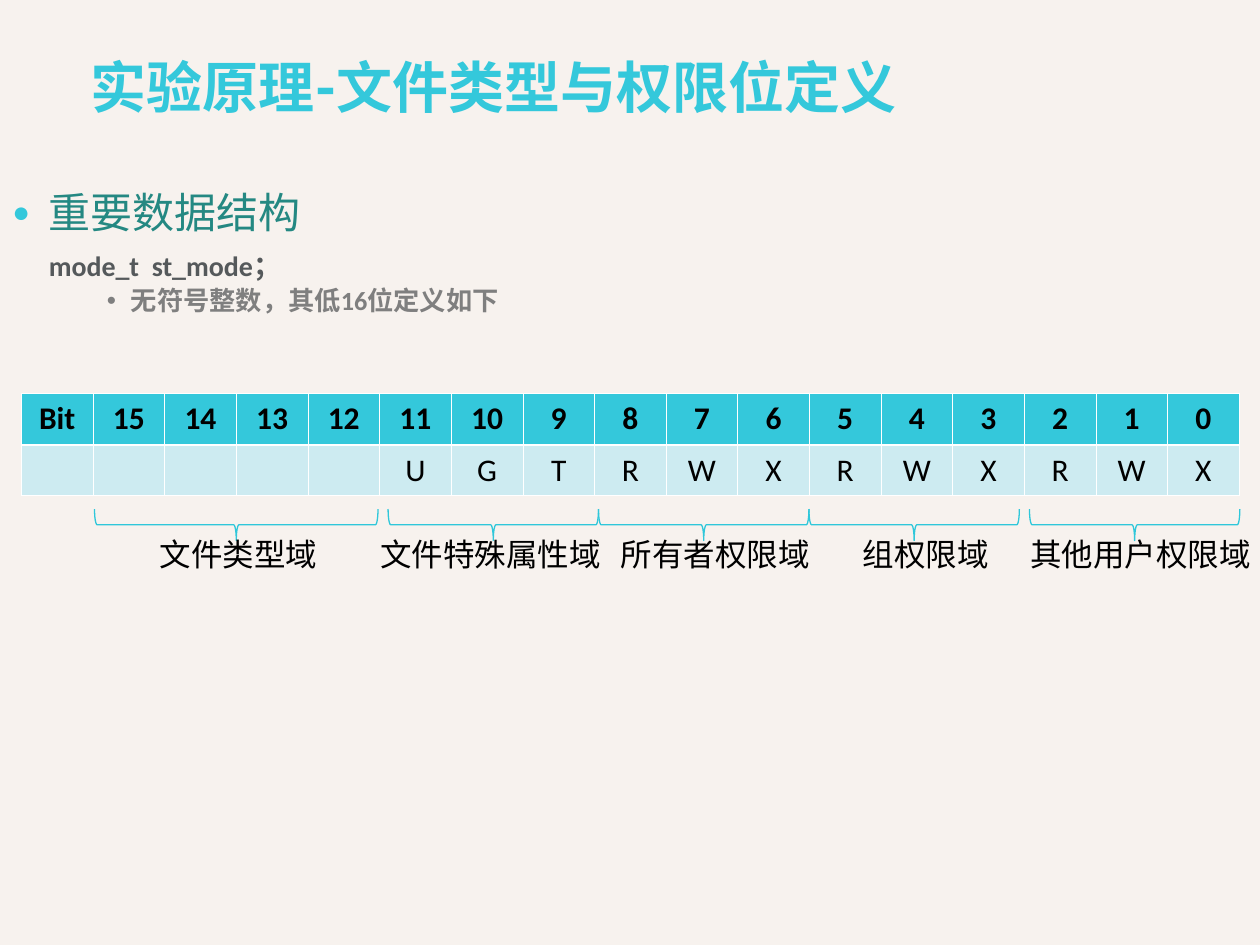
from lxml.etree import SubElement as Sub
from pptx import Presentation
from pptx.dml.color import RGBColor as Rgb
from pptx.enum.shapes import MSO_SHAPE as Shape
from pptx.enum.text import MSO_ANCHOR as Anchor, PP_ALIGN as Align
from pptx.oxml.ns import qn
from pptx.util import Inches, Pt

COLORS = {
    "back": "F7F2EE", "cyan": "34C8DB", "brace": "2FC7DA", "pale": "CDEBF1",
    "teal": "248882", "dark": "55595B", "gray": "7F7F7F",
    "black": "000000", "white": "FFFFFF",
}


def color(name):
    return Rgb.from_string(COLORS[name])


def add_run(para, text, size, font, tint, bold=False):
    run = para.add_run()
    run.text = text
    run.font.size = Pt(size)
    run.font.name = font
    run.font.bold = bold
    run.font.color.rgb = color(tint)


def add_box(slide, left, top, width, height, anchor=Anchor.TOP):
    box = slide.shapes.add_textbox(
        Inches(left), Inches(top), Inches(width), Inches(height))
    frame = box.text_frame
    frame.word_wrap = True
    frame.vertical_anchor = anchor
    return frame


def set_bullet(para, left, hang, char=None, tint=None, scale=100):
    props = para._p.get_or_add_pPr()
    props.set("marL", str(Inches(left)))
    props.set("indent", str(-Inches(hang)))
    if char:
        hue = Sub(props, qn("a:buClr"))
        Sub(hue, qn("a:srgbClr"), val=COLORS[tint])
        Sub(props, qn("a:buSzPct"), val=str(scale * 1000))
        Sub(props, qn("a:buFont"), typeface="Arial")
        Sub(props, qn("a:buChar"), char=char)
    else:
        Sub(props, qn("a:buNone"))


def add_title(slide, text):
    frame = add_box(slide, 0.62, 0.33, 8.76, 0.78, Anchor.MIDDLE)
    para = frame.paragraphs[0]
    para.line_spacing = 0.9
    add_run(para, text, 32, "Roboto", "cyan", True)


def add_body(slide):
    frame = add_box(slide, 0, 1.48, 10, 5.86)
    # text, size, colour, bold, line spacing, space before, bullet
    rows = [
        ("重要数据结构", 24, "teal", False, 0.9, 13.5,
         (0.29, 0.29, "●", "cyan", 70)),
        ("mode_t  st_mode；", 16, "dark", True, 1.3, 0, (0.29, 0)),
        ("无符号整数，其低16位定义如下", 15, "gray", True, 0.9, 3.7,
         (0.94, 0.19, "•", "gray")),
    ]
    for level, (text, size, tint, bold, line, before, bullet) in enumerate(rows):
        para = frame.paragraphs[0] if level == 0 else frame.add_paragraph()
        para.level = level
        para.line_spacing = line
        para.space_before = Pt(before)
        set_bullet(para, *bullet)
        add_run(para, text, size, "Calibri", tint, bold)


def set_edges(cell, widths):
    props = cell._tc.get_or_add_tcPr()
    for side, width in zip("LRTB", widths):
        line = Sub(props, qn("a:ln" + side), w=str(Pt(width)))
        fill = Sub(line, qn("a:solidFill"))
        Sub(fill, qn("a:srgbClr"), val=COLORS["white"])


def add_bits(slide):
    heads = ["Bit"] + [str(bit) for bit in range(15, -1, -1)]
    flags = [""] * 5 + list("UGT" + "RWX" * 3)
    frame = slide.shapes.add_table(
        2, len(heads), Inches(0.17), Inches(3.12), Inches(9.67), Inches(0.81))
    table = frame.table
    for col in table.columns:
        col.width = Inches(9.67 / len(heads))
    thin, thick = 0.45, 1.47
    styles = [
        (heads, 0.41, "cyan", True, (thin, thin, thin, thick)),
        (flags, 0.4, "pale", False, (thin, thin, thick, thin)),
    ]
    for row, (texts, height, tint, bold, edges) in enumerate(styles):
        table.rows[row].height = Inches(height)
        for col, text in enumerate(texts):
            cell = table.cell(row, col)
            set_edges(cell, edges)
            cell.fill.solid()
            cell.fill.fore_color.rgb = color(tint)
            para = cell.text_frame.paragraphs[0]
            para.alignment = Align.CENTER
            if text:
                add_run(para, text, 18, "Calibri", "black", bold)


def add_brace(slide, left, span):
    # A right brace turned by 90 degrees opens upwards
    depth, top = 0.25, 4.04
    brace = slide.shapes.add_shape(
        Shape.RIGHT_BRACE,
        Inches(left + (span - depth) / 2), Inches(top + (depth - span) / 2),
        Inches(depth), Inches(span))
    brace.rotation = 90
    brace.shadow.inherit = False
    brace.fill.background()
    brace.line.color.rgb = color("brace")
    brace.line.width = Pt(0.74)


def add_label(slide, text, left, width):
    frame = add_box(slide, left, 4.2, width, 0.4)
    add_run(frame.paragraphs[0], text, 18, "Arial", "black")


def main():
    prs = Presentation()
    prs.slide_width, prs.slide_height = Inches(10), Inches(7.5)
    slide = prs.slides.add_slide(prs.slide_layouts[6])
    slide.background.fill.solid()
    slide.background.fill.fore_color.rgb = color("back")

    add_title(slide, "实验原理-文件类型与权限位定义")
    add_body(slide)
    add_bits(slide)

    # Bit fields: label, label left and width, brace left and span
    fields = [
        ("文件类型域", 1.17, 1.5, 0.75, 2.25),
        ("文件特殊属性域", 2.92, 2, 3.08, 1.67),
        ("所有者权限域", 4.83, 1.75, 4.75, 1.67),
        ("组权限域", 6.75, 1.75, 6.42, 1.67),
        ("其他用户权限域", 8.08, 2.08, 8.17, 1.67),
    ]
    for text, left, width, start, span in fields:
        add_brace(slide, start, span)
        add_label(slide, text, left, width)

    prs.save("out.pptx")


main()
